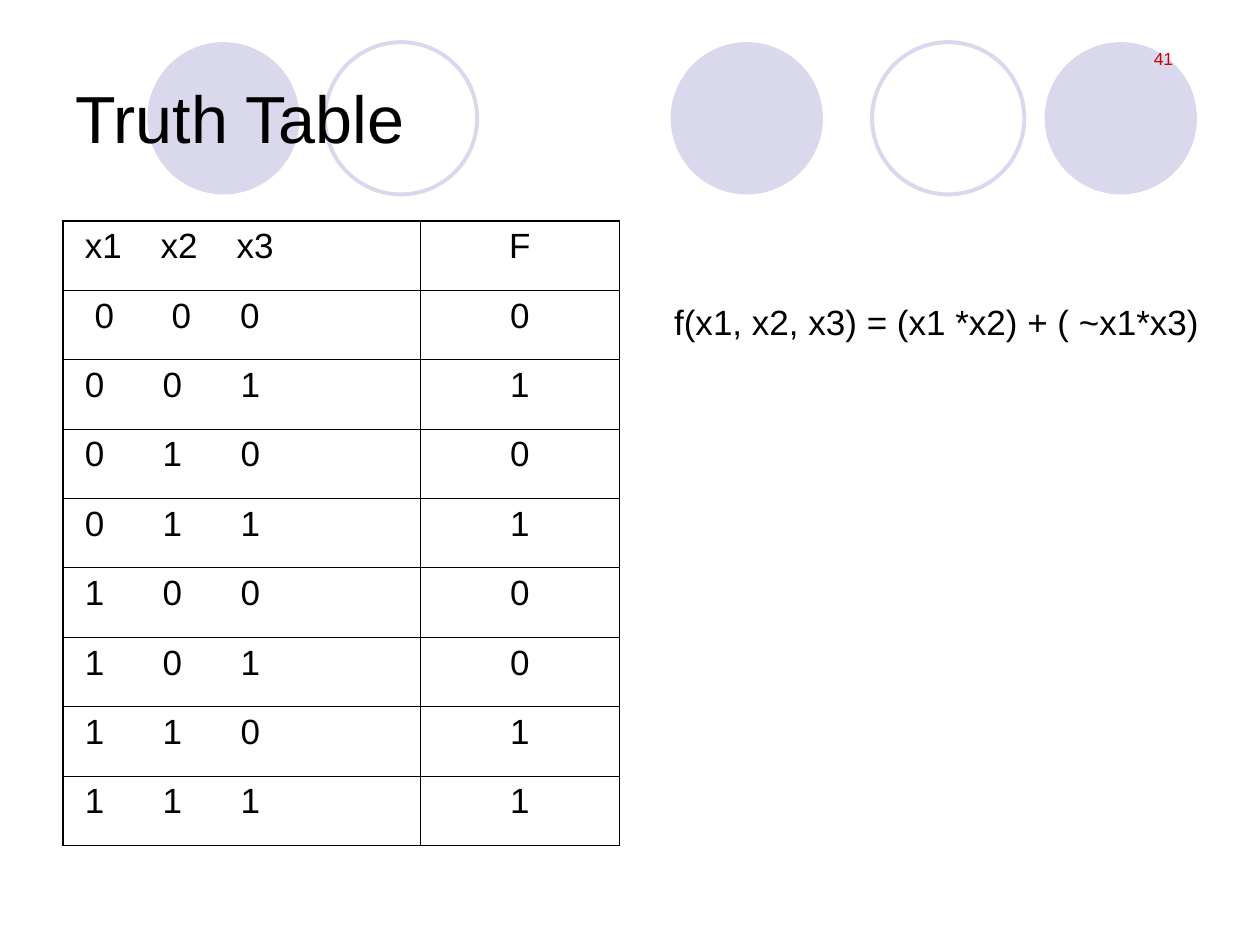
from lxml.etree import SubElement
from pptx import Presentation
from pptx.dml.color import RGBColor
from pptx.enum.shapes import MSO_SHAPE as Preset
from pptx.enum.text import MSO_ANCHOR as Anchor, PP_ALIGN as Align
from pptx.oxml import parse_xml
from pptx.oxml.ns import nsdecls, qn
from pptx.util import Cm, Pt

BLACK = RGBColor(0, 0, 0)
RED = RGBColor(0xCC, 0, 0)
LAVENDER = RGBColor(0xD9, 0xD8, 0xEC)

# Cell inset and tab stops in cm
HEADER_STOPS = (0.44, (1.53, 3.06))
FIRST_STOPS = (0.64, (1.55, 2.93))
DIGIT_STOPS = (0.44, (1.57, 3.14))

THIN, THICK = Pt(0.45), Pt(1.08)


class SlideBuilder:
    font = "Arial"

    def __init__(self, slide):
        self.slide = slide
        self.shapes = slide.shapes

    def add_text(self, frame, text, size, color=BLACK, align=Align.LEFT, stops=()):
        """Fill the first paragraph, with tab stops given in cm."""
        paragraph = frame.paragraphs[0]
        if stops:
            tab_list = SubElement(paragraph._p.get_or_add_pPr(), qn("a:tabLst"))
            for stop in stops:
                SubElement(tab_list, qn("a:tab"), pos=str(Cm(stop)), algn="l")
        paragraph.alignment = align
        run = paragraph.add_run()
        run.text = text
        run.font.name = self.font
        run.font.size = Pt(size)
        run.font.color.rgb = color

    def circle(self, left, top, diameter, filled):
        shape = self.shapes.add_shape(
            Preset.OVAL, Cm(left), Cm(top), Cm(diameter), Cm(diameter))
        shape.shadow.inherit = False
        if filled:
            shape.fill.solid()
            shape.fill.fore_color.rgb = LAVENDER
            shape.line.fill.background()
        else:
            shape.fill.background()
            shape.line.color.rgb = LAVENDER
            shape.line.width = Pt(2.25)

    def title(self, text, left, top, width, height):
        shape = self.shapes.title
        shape.left, shape.top = Cm(left), Cm(top)
        shape.width, shape.height = Cm(width), Cm(height)
        shape.text_frame.vertical_anchor = Anchor.MIDDLE
        self.add_text(shape.text_frame, text, 38)
        self.shapes._spTree.append(shape._element)  # in front of the circles

    def text_box(self, text, left, top, width, height, size, **style):
        box = self.shapes.add_textbox(Cm(left), Cm(top), Cm(width), Cm(height))
        box.text_frame.word_wrap = True
        self.add_text(box.text_frame, text, size, **style)

    def borders(self, cell, widths):
        """Draw the left, right, top and bottom borders of a cell."""
        properties = cell._tc.get_or_add_tcPr()
        for index, (side, width) in enumerate(zip("LRTB", widths)):
            properties.insert(index, parse_xml(
                f'<a:ln{side} {nsdecls("a")} w="{width}"><a:solidFill>'
                f'<a:srgbClr val="{BLACK}"/></a:solidFill></a:ln{side}>'))

    def truth_table(self, rows, left, top, column_widths, row_height):
        table = self.shapes.add_table(
            len(rows), 2, Cm(left), Cm(top),
            Cm(sum(column_widths)), Cm(row_height * len(rows))).table
        table.first_row = table.horz_banding = False
        for column, width in zip(table.columns, column_widths):
            column.width = Cm(width)
        last = len(rows) - 1
        for index, (inputs, output, (inset, stops)) in enumerate(rows):
            table.rows[index].height = Cm(row_height)
            input_cell, output_cell = table.cell(index, 0), table.cell(index, 1)
            input_cell.margin_left = Cm(inset)
            self.add_text(input_cell.text_frame, "\t".join(inputs), 20, stops=stops)
            self.add_text(output_cell.text_frame, output, 20, align=Align.CENTER)
            above = THICK if index == 0 else THIN
            below = THICK if index == last else THIN
            for cell, sides in ((input_cell, (THICK, THIN)),
                                (output_cell, (THIN, THICK))):
                cell.fill.background()
                self.borders(cell, (*sides, above, below))


def truth_rows():
    rows = [(("x1", "x2", "x3"), "F", HEADER_STOPS)]
    for number, output in enumerate("01010011"):
        stops = DIGIT_STOPS if number else FIRST_STOPS
        rows.append((f"{number:03b}", output, stops))
    return rows


def main():
    presentation = Presentation()
    presentation.slide_width, presentation.slide_height = Cm(25.4), Cm(19.05)
    title_only = presentation.slide_layouts[5]
    builder = SlideBuilder(presentation.slides.add_slide(title_only))

    for left, filled in ((13.52, True), (21.06, True), (2.97, True),
                         (17.58, False), (6.55, False)):
        builder.circle(left, 0.85, 3.07, filled)
    builder.text_box("41", 17.98, 0.85, 5.92, 1.27, 10,
                     color=RED, align=Align.RIGHT)
    builder.title("Truth Table", 1.27, 0.76, 22.86, 3.18)
    builder.truth_table(truth_rows(), 1.27, 4.45, (7.2, 4.02), 1.4)
    builder.text_box("f(x1, x2, x3) = (x1 *x2) + ( ~x1*x3)",
                     13.34, 5.93, 11.43, 1.11, 20)
    presentation.save("out.pptx")


if __name__ == "__main__":
    main()
